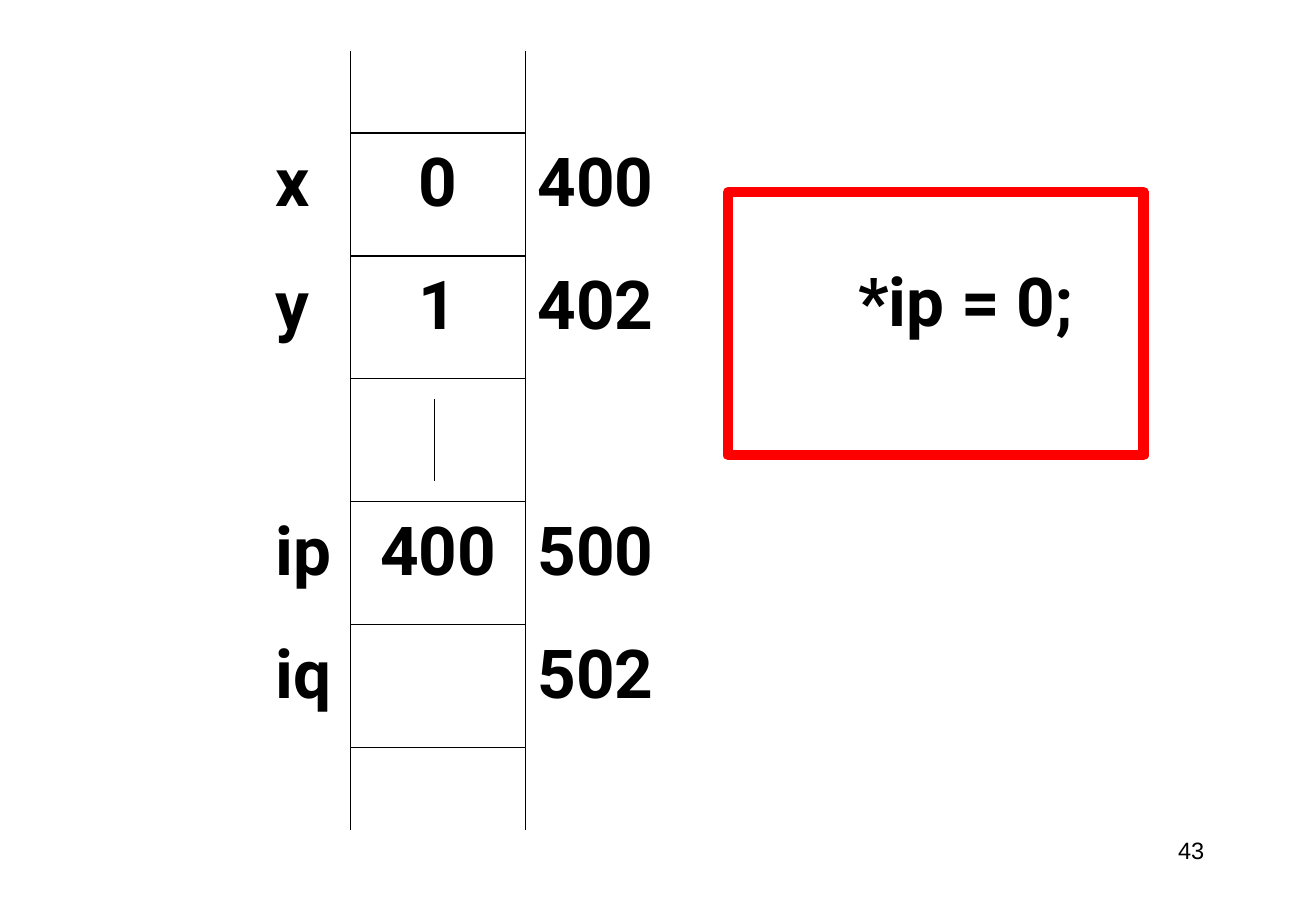
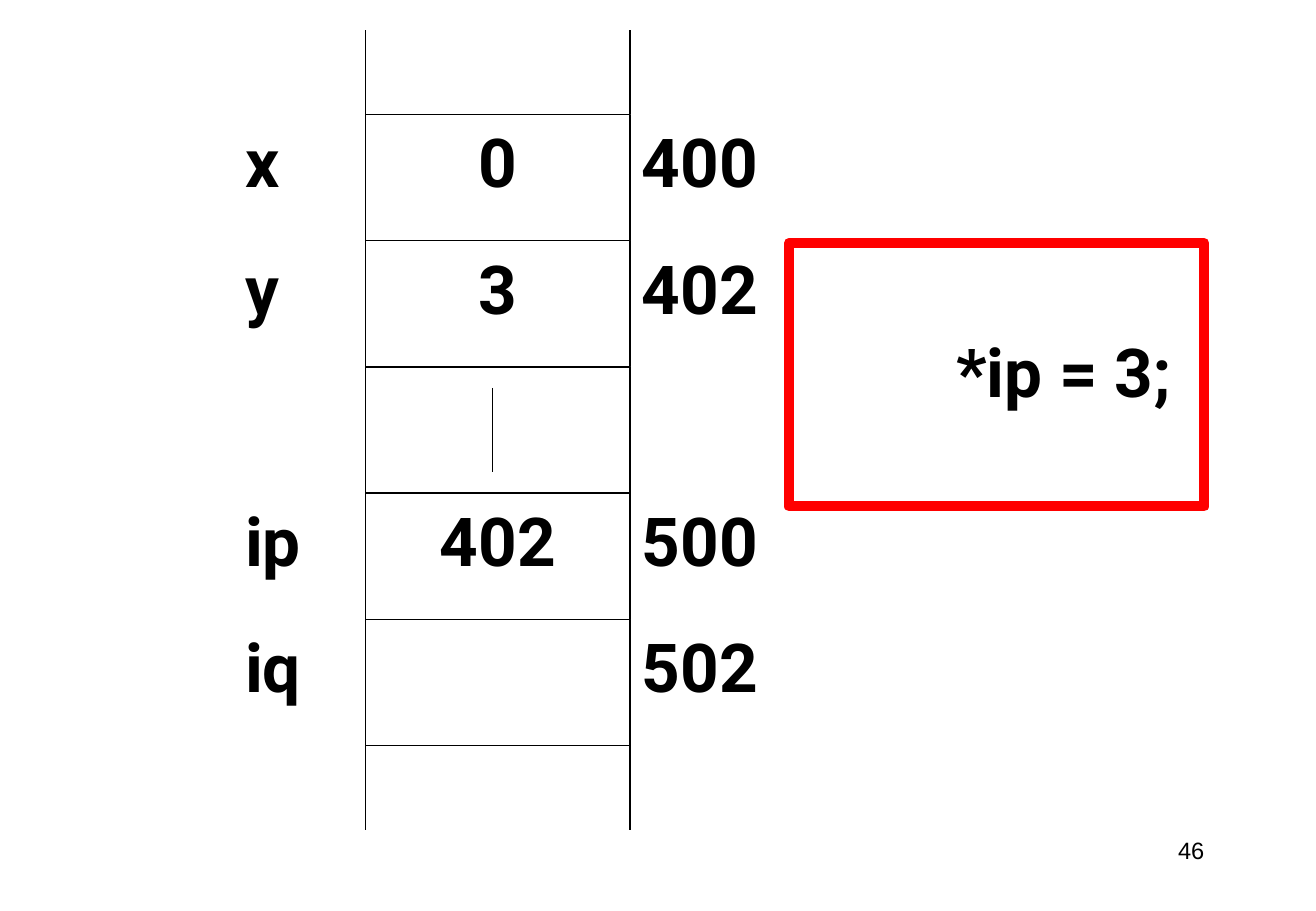
from pptx import Presentation
from pptx.dml.color import RGBColor
from pptx.enum.shapes import MSO_CONNECTOR, MSO_SHAPE
from pptx.enum.text import MSO_ANCHOR, PP_ALIGN
from pptx.oxml.ns import qn
from pptx.util import Inches, Pt
from lxml.etree import SubElement

BLACK, WHITE, RED = "000000", "FFFFFF", "FF0000"
NAMES = ["x", "y", "", "ip", "iq"]
PLACES = ["400", "402", "", "500", "502"]
GAP = 2  # row that stands for the skipped memory
TAIL = 2 / 3  # open end of the column, in rows
BOTTOM = 6.83


def color(code):
    return RGBColor.from_string(code)


def write(frame, text, size=40, font="Roboto", bold=True,
          ink=BLACK, align=PP_ALIGN.LEFT):
    frame.word_wrap = True
    frame.vertical_anchor = MSO_ANCHOR.TOP
    par = frame.paragraphs[0]
    par.alignment = align
    run = par.add_run()
    run.text = text
    run.font.size = Pt(size)
    run.font.name = font
    run.font.bold = bold
    run.font.color.rgb = color(ink)


class Deck:
    """Holds the line style and the slide being drawn."""

    thin, thick = 0.75, 6

    def __init__(self):
        self.show = Presentation()
        self.show.slide_width = Inches(10.84)
        self.show.slide_height = Inches(7.5)
        self.slide = None

    def start(self, number):
        """Add a blank slide with its page number."""
        self.slide = self.show.slides.add_slide(self.show.slide_layouts[6])
        self.label(7.76, BOTTOM, 2.26, 0.5, number, size=14,
                   font="Arial", bold=False, align=PP_ALIGN.RIGHT)

    def label(self, x, y, w, h, text, **style):
        box = self.slide.shapes.add_textbox(
            Inches(x), Inches(y), Inches(w), Inches(h))
        write(box.text_frame, text, **style)

    def rect(self, x, y, w, h, fill=None, ink=BLACK, width=thin):
        shape = self.slide.shapes.add_shape(
            MSO_SHAPE.RECTANGLE, Inches(x), Inches(y), Inches(w), Inches(h))
        shape.shadow.inherit = False
        if fill:
            shape.fill.solid()
            shape.fill.fore_color.rgb = color(fill)
        else:
            shape.fill.background()
        shape.line.color.rgb = color(ink)
        shape.line.width = Pt(width)
        return shape

    def rule(self, x, top, length):
        """Draw a vertical line."""
        line = self.slide.shapes.add_connector(
            MSO_CONNECTOR.STRAIGHT, Inches(x), Inches(top),
            Inches(x), Inches(top + length))
        line.line.color.rgb = color(BLACK)
        line.line.width = Pt(self.thin)
        SubElement(line._element.spPr, qn("a:effectLst"))

    def memory(self, x, top, w, values):
        """Draw the memory column with names, values and addresses."""
        row = (BOTTOM - top) / (len(NAMES) + 2 * TAIL)
        tail = TAIL * row
        first = top + tail
        for side in (x, x + w):
            self.rule(side, top, tail)
            self.rule(side, BOTTOM - tail, tail)
        for i, (name, value, place) in enumerate(zip(NAMES, values, PLACES)):
            y = first + i * row
            cell = self.rect(x, y, w, row, fill=WHITE)
            if value:
                write(cell.text_frame, value, align=PP_ALIGN.CENTER)
            if name:
                span = w / 2 if len(name) == 1 else w * 2 / 3
                self.label(x - w / 2, y, span, row, name)
                self.label(x + w, y, w * 5 / 6, row, place)
        self.rule(x + 0.48 * w, first + (GAP + 1 / 6) * row, tail)

    def code(self, x, y, text, left, down):
        """Draw a statement inset by left and down in a red frame."""
        self.label(x + left, y + down, 2.2, 0.75, text)
        self.rect(x, y, 3.42, 2.17, ink=RED, width=self.thick)


def main():
    deck = Deck()

    deck.start("43")
    deck.memory(2.89, 0.42, 1.44, ["0", "1", "", "400", ""])
    deck.code(6, 1.58, "*ip = 0;", left=0.97, down=0.5)

    deck.start("46")
    deck.memory(3.01, 0.25, 2.18, ["0", "3", "", "402", ""])
    deck.code(6.5, 2, "*ip = 3;", left=1.28, down=0.67)

    deck.show.save("out.pptx")


if __name__ == "__main__":
    main()
